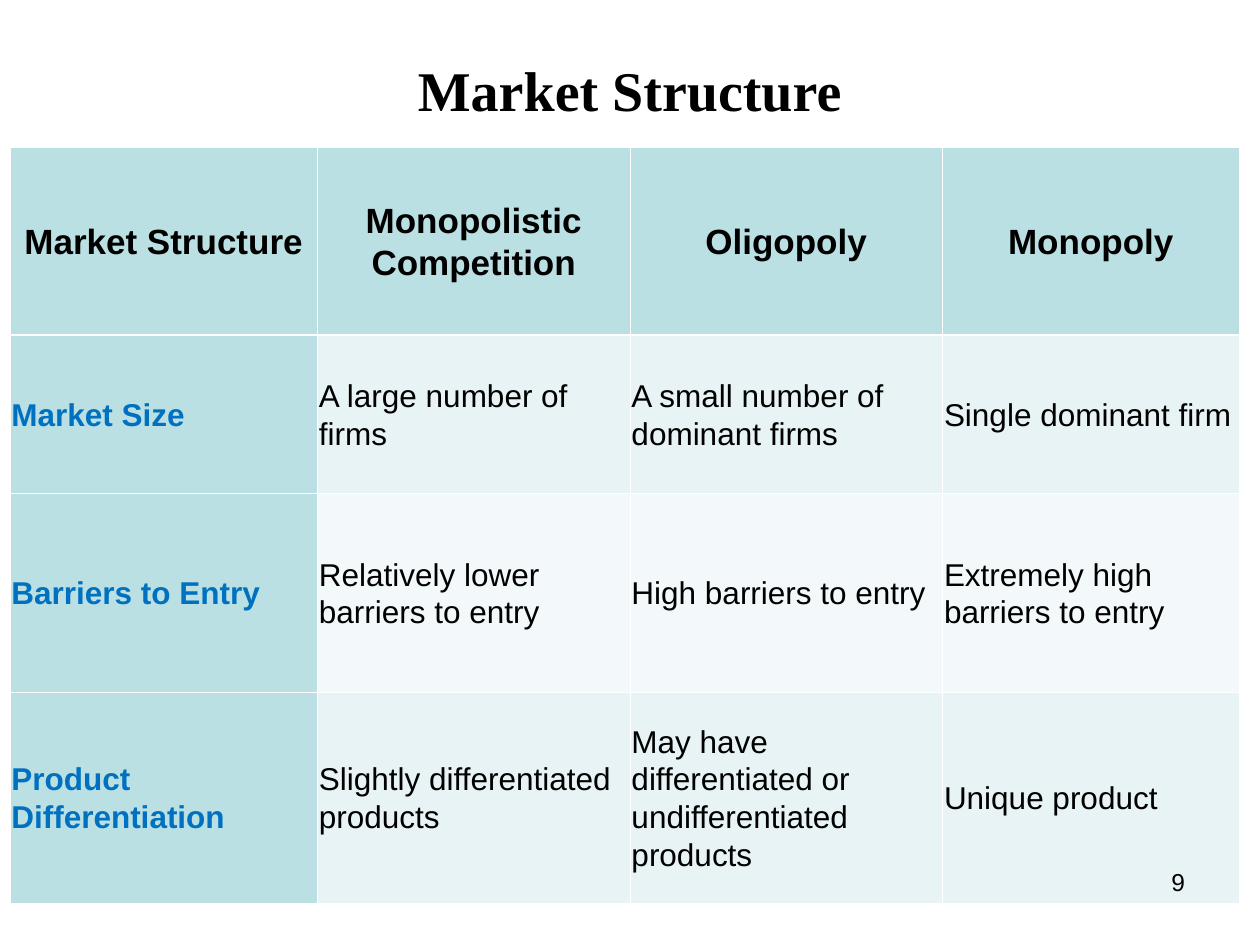
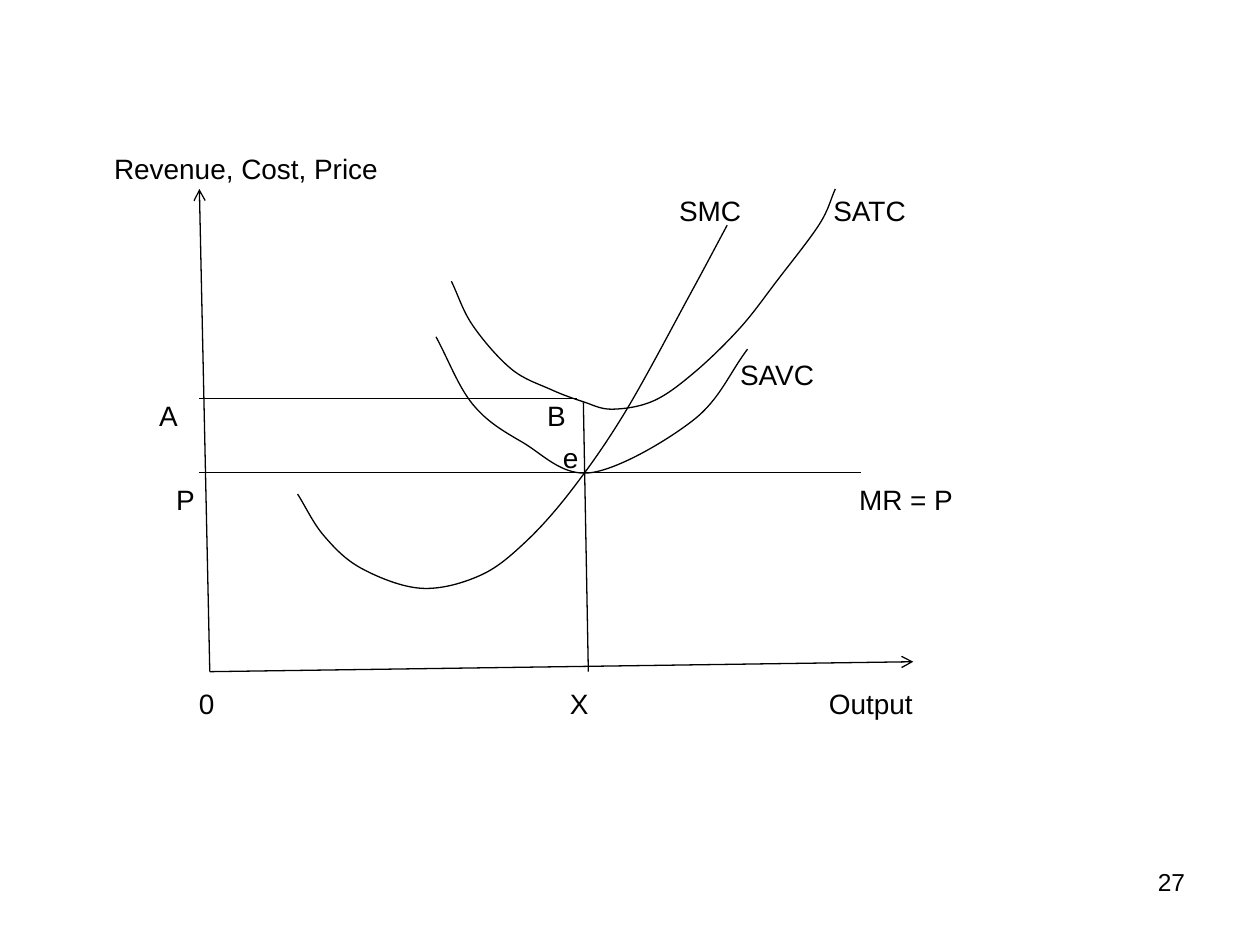
from pptx import Presentation
from pptx.dml.color import RGBColor
from pptx.enum.shapes import MSO_CONNECTOR
from pptx.enum.text import MSO_ANCHOR, PP_ALIGN
from pptx.oxml.ns import qn
from pptx.util import Cm, Pt
from lxml import etree

STRAIGHT = MSO_CONNECTOR.STRAIGHT
TOP, MIDDLE = MSO_ANCHOR.TOP, MSO_ANCHOR.MIDDLE
LEFT, CENTER, RIGHT = PP_ALIGN.LEFT, PP_ALIGN.CENTER, PP_ALIGN.RIGHT

COLORS = {
    "ink": "000000",
    "label": "0070C0",
    "head": "BBE0E3",
    "band": "E7F3F4",
    "pale": "F3F9FA",
    "rule": "FFFFFF",
}
BODY_FONT, TITLE_FONT = "Arial", "Times New Roman"
LINE_WIDTH = 0.75

TABLE_BOX = (0.2, 2.97)
COL_WIDTHS = (6.2, 6.3, 6.3, 5.98)
ROW_HEIGHTS = (3.78, 3.2, 4.0, 4.26)
MARKETS = [
    ("Market Structure", "Monopolistic Competition", "Oligopoly", "Monopoly"),
    ("Market Size", "A large number of firms",
     "A small number of dominant firms", "Single dominant firm"),
    ("Barriers to Entry", "Relatively lower barriers to entry",
     "High barriers to entry", "Extremely high barriers to entry"),
    ("Product Differentiation", "Slightly differentiated products",
     "May have differentiated or undifferentiated products", "Unique product"),
]

DIAGRAM_BOX = (4.01, 3.81)
ORIGIN = (0.22, 9.73)
AXES = [(ORIGIN, (0.01, 0)), (ORIGIN, (14.4, 9.53))]
GUIDES = [
    ((0, 5.72), (13.34, 5.72)),
    ((7.62, 4.23), (0, 4.23)),
    ((7.75, 4.3), (7.85, 9.73)),
]
SMC = [(1.99, 6.15), (2.52, 6.99), (3.28, 7.65), (4.48, 8.05), (5.65, 7.8),
       (6.56, 7.14), (7.53, 6.05), (8.61, 4.47), (9.91, 2.11), (10.65, 0.73)]
SATC = [(5.09, 1.86), (5.52, 2.75), (6.3, 3.63), (7.09, 4.04), (7.75, 4.29),
        (8.33, 4.44), (9.17, 4.27), (10.01, 3.68), (10.92, 2.79),
        (11.67, 1.83), (12.51, 0.71), (12.83, 0)]
SAVC = [(4.78, 2.98), (5.52, 4.34), (6.53, 5.11), (7.9, 5.72),
        (9.98, 4.65), (11.06, 3.23)]
LABEL_OFFSET, LABEL_SIZE, LABEL_INSET = (-2.74, -1.7), (22.86, 14.91), 0.95
LABEL_PITCH, LABEL_LINE = 23.15, 18.4
LABEL_ROWS = [
    (0, [("Revenue, Cost, Price", -1.71)]),
    (1, [("SMC", 9.68), ("SATC", 12.79)]),
    (5, [("SAVC", 10.91)]),
    (6, [("A", -0.8), ("B", 7.02)]),
    (7, [("e", 7.34)]),
    (8, [("P", -0.46), ("MR = P", 13.31)]),
    (13, [("0", 0), ("X", 7.48), ("Output", 12.7)]),
]


def rgb(name):
    """Look up a palette colour."""
    return RGBColor.from_string(COLORS[name])


def style(p, size, color="ink", font=BODY_FONT, bold=False, align=LEFT):
    """Format a paragraph and its runs."""
    p.alignment = align
    for r in p.runs:
        r.font.size, r.font.name, r.font.bold = Pt(size), font, bold
        r.font.color.rgb = rgb(color)


def add_text(s, text, box, size, anchor=TOP, inset=(0, 0), **look):
    """Add a wrapped text box with one paragraph per line of text."""
    tf = s.shapes.add_textbox(*map(Cm, box)).text_frame
    tf.word_wrap, tf.vertical_anchor = True, anchor
    tf.margin_left = tf.margin_right = Cm(inset[0])
    tf.margin_top = tf.margin_bottom = Cm(inset[1])
    tf.text = text
    for p in tf.paragraphs:
        style(p, size, **look)
    return tf


def add_title(s, text):
    """Add the slide title."""
    add_text(s, text, (1.27, 0.76, 22.86, 2.06), 32, anchor=MIDDLE,
             font=TITLE_FONT, bold=True, align=CENTER)


def add_page_number(s, number):
    """Add the page number at the lower right."""
    add_text(s, str(number), (18.22, 17.35, 5.92, 1.32), 14,
             inset=(0.25, 0.13), align=RIGHT)


def set_borders(cell, **widths):
    """Give a cell white borders of the given point widths."""
    tc_pr = cell._tc.get_or_add_tcPr()
    for side in ("L", "R", "T", "B"):
        ln = etree.SubElement(tc_pr, qn(f"a:ln{side}"),
                              w=str(Pt(widths.get(side, 0.45))))
        fill = etree.SubElement(ln, qn("a:solidFill"))
        etree.SubElement(fill, qn("a:srgbClr"), val=COLORS["rule"])


def fill_cell(cell, text, row, col):
    """Write and format one table cell according to its row and column."""
    set_borders(cell, **{0: {"B": 1.47}, 1: {"T": 1.47}}.get(row, {}))
    heading = row == 0 or col == 0
    cell.fill.solid()
    cell.fill.fore_color.rgb = rgb(
        "head" if heading else "band" if row % 2 else "pale")
    cell.vertical_anchor = MIDDLE
    cell.margin_left = cell.margin_right = Cm(0.03)
    cell.margin_top = cell.margin_bottom = Cm(0.13)
    cell.text = text
    p = cell.text_frame.paragraphs[0]
    p.line_spacing = 1.07
    style(p, 18 if row else 20, "label" if row and col == 0 else "ink",
          bold=heading, align=LEFT if row else CENTER)


def add_market_table(s, box):
    """Add the comparison table at the given corner."""
    size = sum(COL_WIDTHS), sum(ROW_HEIGHTS)
    table = s.shapes.add_table(len(ROW_HEIGHTS), len(COL_WIDTHS),
                               *map(Cm, box + size)).table
    for column, width in zip(table.columns, COL_WIDTHS):
        column.width = Cm(width)
    for row, height in zip(table.rows, ROW_HEIGHTS):
        row.height = Cm(height)
    for i, texts in enumerate(MARKETS):
        for j, text in enumerate(texts):
            fill_cell(table.cell(i, j), text, i, j)


def set_line(shape):
    """Give a shape the thin black line."""
    shape.line.color.rgb = rgb("ink")
    shape.line.width = Pt(LINE_WIDTH)


def add_line(s, box, start, end, arrow=False):
    """Add a straight line, with an arrowhead at its end if asked."""
    points = [Cm(o + v) for point in (start, end) for o, v in zip(box, point)]
    line = s.shapes.add_connector(STRAIGHT, *points)
    set_line(line)
    if arrow:
        etree.SubElement(line.line._get_or_add_ln(), qn("a:tailEnd"),
                         type="arrow")
    etree.SubElement(line._element.spPr, qn("a:effectLst"))


def smooth_segments(outline):
    """Turn the straight segments of an outline into joined Bézier curves."""
    knots = [(int(pt.get("x")), int(pt.get("y")))
             for pt in outline.iter(qn("a:pt"))]
    first = tuple(2 * a - b for a, b in zip(knots[0], knots[1]))
    last = tuple(2 * a - b for a, b in zip(knots[-1], knots[-2]))
    ext = [first, *knots, last]
    for segment in outline.findall(qn("a:lnTo")):
        outline.remove(segment)
    for a, b, c, d in zip(ext, ext[1:], ext[2:], ext[3:]):
        leave = [q + (r - p) / 6 for p, q, r in zip(a, b, c)]
        reach = [q - (r - p) / 6 for p, q, r in zip(b, c, d)]
        curve = etree.SubElement(outline, qn("a:cubicBezTo"))
        for x, y in (leave, reach, c):
            etree.SubElement(curve, qn("a:pt"),
                             x=str(round(x)), y=str(round(y)))


def add_curve(s, box, knots):
    """Add a smooth open cost curve."""
    points = [(Cm(box[0] + x), Cm(box[1] + y)) for x, y in knots]
    builder = s.shapes.build_freeform(*points[0])
    builder.add_line_segments(points[1:], close=False)
    curve = builder.convert_to_shape()
    smooth_segments(next(curve._element.iter(qn("a:path"))))
    curve.shadow.inherit = False
    curve.fill.background()
    set_line(curve)


def add_labels(s, box):
    """Add all diagram labels as tabbed lines of one text box."""
    corner = tuple(o + v for o, v in zip(box, LABEL_OFFSET))
    text = "\n".join("".join("\t" + label for label, _ in labels)
                     for _, labels in LABEL_ROWS)
    tf = add_text(s, text, corner + LABEL_SIZE, 16, inset=(0, LABEL_INSET))
    previous = 0
    for p, (row, labels) in zip(tf.paragraphs, LABEL_ROWS):
        tabs = etree.SubElement(p._p.get_or_add_pPr(), qn("a:tabLst"))
        for _, x in labels:
            etree.SubElement(tabs, qn("a:tab"),
                             pos=str(Cm(x - LABEL_OFFSET[0])), algn="l")
        if row:
            p.space_before = Pt((row - previous) * LABEL_PITCH - LABEL_LINE)
        previous = row


def add_cost_diagram(s, box):
    """Add the labels, axes, guides and cost curves at the given corner."""
    add_labels(s, box)
    for start, end in AXES:
        add_line(s, box, start, end, arrow=True)
    for start, end in GUIDES:
        add_line(s, box, start, end)
    for knots in (SMC, SATC, SAVC):
        add_curve(s, box, knots)


def main():
    """Build and save the two slides."""
    prs = Presentation()
    prs.slide_width, prs.slide_height = Cm(25.4), Cm(19.05)
    blank = prs.slide_layouts[6]

    s = prs.slides.add_slide(blank)
    add_title(s, "Market Structure")
    add_market_table(s, TABLE_BOX)
    add_page_number(s, 9)

    s = prs.slides.add_slide(blank)
    add_cost_diagram(s, DIAGRAM_BOX)
    add_page_number(s, 27)

    prs.save("out.pptx")


if __name__ == "__main__":
    main()
